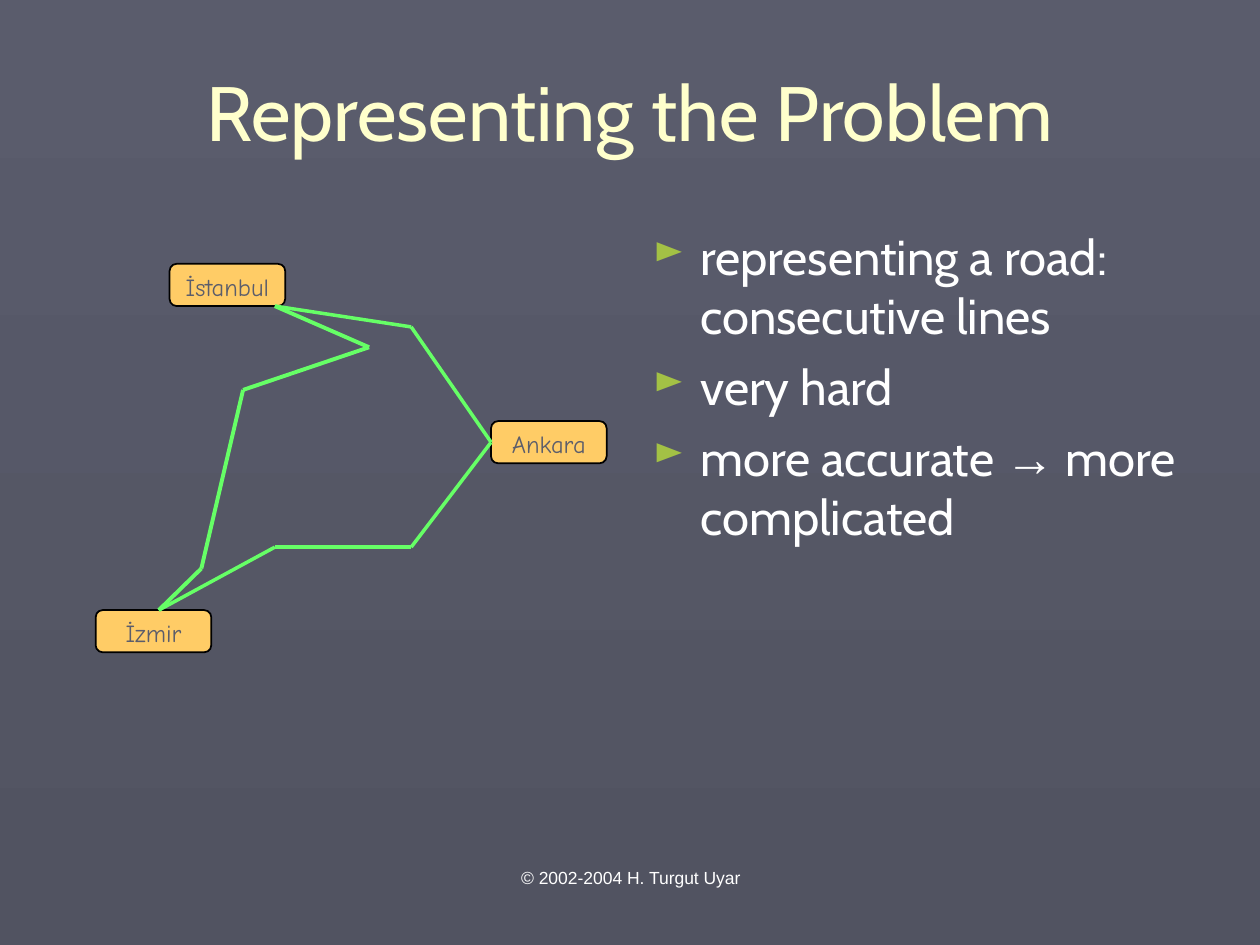
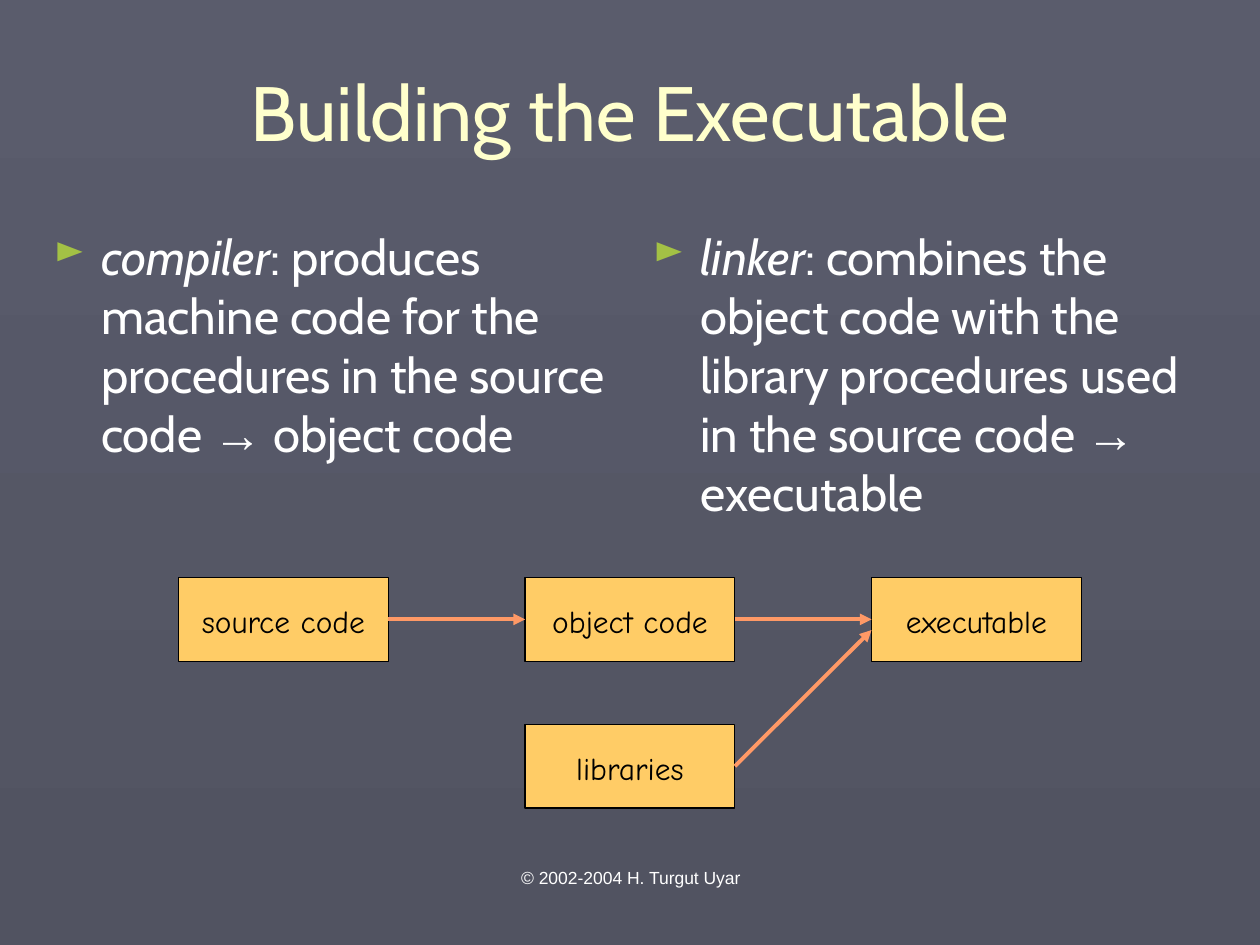
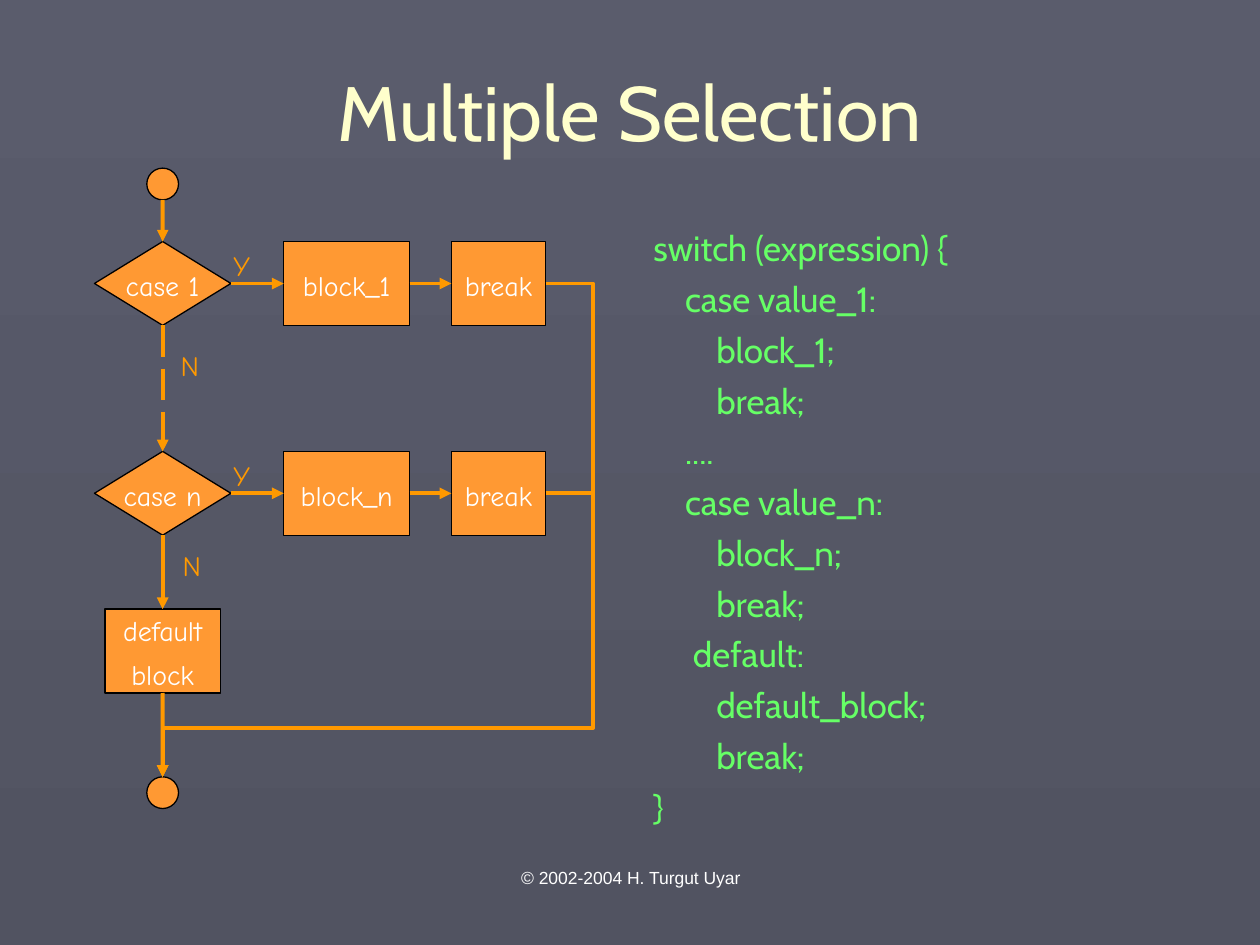
from lxml import etree
from pptx import Presentation
from pptx.dml.color import RGBColor
from pptx.enum.dml import MSO_LINE
from pptx.enum.shapes import MSO_CONNECTOR, MSO_SHAPE
from pptx.enum.text import MSO_ANCHOR, PP_ALIGN
from pptx.oxml.ns import qn
from pptx.util import Cm, Pt

CENTER, LEFT = PP_ALIGN.CENTER, PP_ALIGN.LEFT
MIDDLE, TOP_ANCHOR = MSO_ANCHOR.MIDDLE, MSO_ANCHOR.TOP
RECT, ROUNDED = MSO_SHAPE.RECTANGLE, MSO_SHAPE.ROUNDED_RECTANGLE
DIAMOND, CIRCLE = MSO_SHAPE.DIAMOND, MSO_SHAPE.OVAL
STRAIGHT, ELBOW = MSO_CONNECTOR.STRAIGHT, MSO_CONNECTOR.ELBOW
LONG_DASH = MSO_LINE.LONG_DASH

# Connection sites and where they lie on a shape, as shares of its size
TOP, WEST, BOTTOM, EAST = range(4)
SITE_SHARES = {TOP: (0.5, 0), WEST: (0, 0.5), BOTTOM: (0.5, 1), EAST: (1, 0.5)}

COLORS = {
    "sky": "5A5C6C", "ground": "515361", "title": "FFFFCC", "white": "FFFFFF",
    "black": "000000", "bullet": "A3C145", "slate": "5B5D6B", "amber": "FFCC66",
    "green": "66FF66", "salmon": "FF9966", "orange": "FF9933", "flow": "FF9900",
}

# Text styles: font attributes, colour and paragraph attributes
def text_style(name, size, color, **paragraph):
    return {"font": {"name": name, "size": Pt(size)}, "color": color,
            "paragraph": paragraph}


def label_style(size, color):
    return text_style("Comic Neue", size, color, alignment=CENTER,
                      line_spacing=1.1, space_before=Pt(size / 4))


TITLE = text_style("Cabin", 44, "title", alignment=CENTER)
BODY = text_style("Cabin", 28, "white", alignment=LEFT, space_before=Pt(7))
CODE = text_style("Cabin", 20, "green", alignment=LEFT, space_before=Pt(5))
FOOTER = text_style("Arial", 10, "white", alignment=CENTER)
CITY = label_style(14, "slate")
STAGE = label_style(18, "black")
STEP = label_style(16, "white")
BRANCH = label_style(16, "flow")

ARROW = ("→", {"name": "Arial"})
BODY_TOP, BODY_WIDTH, BODY_HEIGHT = 4.45, 11.65, 12.5
LEFT_COLUMN, RIGHT_COLUMN = 0.84, 12.92


def rgb(color):
    return RGBColor.from_string(COLORS[color])


def apply_format(target, values):
    for attribute, value in values.items():
        setattr(target, attribute, value)


# Text
def write_text(frame, paragraphs, style, **frame_format):
    """Each paragraph is a string or a list of (text, font changes)."""
    apply_format(frame, {"word_wrap": True, **frame_format})
    for index, content in enumerate(paragraphs):
        paragraph = frame.add_paragraph() if index else frame.paragraphs[0]
        apply_format(paragraph, style["paragraph"])
        pieces = [(content, {})] if isinstance(content, str) else content
        for text, changes in pieces:
            run = paragraph.add_run()
            run.text = text
            apply_format(run.font, {**style["font"], **changes})
            run.font.color.rgb = rgb(style["color"])


def add_text(slide, box, paragraphs, style, **frame_format):
    frame = slide.shapes.add_textbox(*map(Cm, box)).text_frame
    write_text(frame, paragraphs, style, **frame_format)
    return frame


def set_indent(paragraph, margin, first_line=0):
    properties = paragraph._p.get_or_add_pPr()
    properties.set("marL", str(Cm(margin)))
    properties.set("indent", str(Cm(first_line)))
    return properties


def add_bullets(slide, left, paragraphs):
    box = (left, BODY_TOP, BODY_WIDTH, BODY_HEIGHT)
    frame = add_text(slide, box, paragraphs, BODY, vertical_anchor=TOP_ANCHOR)
    for paragraph in frame.paragraphs:
        properties = set_indent(paragraph, 0.95, -0.95)
        bullet_color = etree.SubElement(properties, qn("a:buClr"))
        etree.SubElement(bullet_color, qn("a:srgbClr"), val=COLORS["bullet"])
        etree.SubElement(properties, qn("a:buSzPct"), val="80000")
        etree.SubElement(properties, qn("a:buChar"), char="►")


def add_code(slide, left, lines):
    box = (left, BODY_TOP, BODY_WIDTH, BODY_HEIGHT)
    frame = add_text(slide, box, [text for _, text in lines], CODE)
    for paragraph, (indent, _) in zip(frame.paragraphs, lines):
        set_indent(paragraph, indent)


# Shapes and connectors
def add_node(slide, kind, box, fill, style=None, lines=(), border=0.75):
    node = slide.shapes.add_shape(kind, *map(Cm, box))
    node.shadow.inherit = False
    node.fill.solid()
    node.fill.fore_color.rgb = rgb(fill)
    node.line.color.rgb = rgb("black")
    node.line.width = Pt(border)
    if lines:
        write_text(node.text_frame, lines, style, word_wrap=False,
                   vertical_anchor=MIDDLE)
    return node


def locate(end):
    """An end is (x, y) in centimetres or (node, site)."""
    if isinstance(end[0], (int, float)):
        return Cm(end[0]), Cm(end[1])
    node, site = end
    across, down = SITE_SHARES[site]
    return (int(node.left + node.width * across),
            int(node.top + node.height * down))


def add_link(slide, begin, end, color, kind=STRAIGHT, width=2.25, arrow=True, dash=None):
    link = slide.shapes.add_connector(kind, *locate(begin), *locate(end))
    for target, connect in ((begin, link.begin_connect), (end, link.end_connect)):
        if not isinstance(target[0], (int, float)):
            connect(*target)
    link.line.color.rgb = rgb(color)
    link.line.width = Pt(width)
    if dash:
        link.line.dash_style = dash
    if arrow:
        etree.SubElement(link.line._get_or_add_ln(), qn("a:tailEnd"), type="triangle")
    etree.SubElement(link._element.spPr, qn("a:effectLst"))
    return link


def add_return(slide, begin, end, overhang, merge_y):
    """Go right past the node, down to merge_y, back left and down."""
    link = add_link(slide, begin, end, "flow", kind=ELBOW)
    geometry = link._element.spPr.find(qn("a:prstGeom"))
    geometry.set("prst", "bentConnector4")
    guides = geometry.find(qn("a:avLst"))
    shares = (-Cm(overhang) / link.width, (Cm(merge_y) - link.top) / link.height)
    for number, share in enumerate(shares, 1):
        etree.SubElement(guides, qn("a:gd"), name=f"adj{number}",
                         fmla=f"val {round(share * 100000)}")


# Shared slide frame
def paint_background(prs):
    fill = prs.slide_master.background.fill
    fill.gradient()
    fill.gradient_angle = 270
    for stop, color in zip(fill.gradient_stops, ("sky", "ground")):
        stop.color.rgb = rgb(color)


def start_slide(prs, heading):
    slide = prs.slides.add_slide(prs.slide_layouts[5])
    title = slide.shapes.title
    apply_format(title, {"left": Cm(0.84), "top": Cm(0.64),
                         "width": Cm(23.72), "height": Cm(3.18)})
    write_text(title.text_frame, [heading], TITLE, vertical_anchor=MIDDLE)
    add_text(slide, (8.69, 17.35, 8.05, 1.32), ["© 2002-2004 H. Turgut Uyar"], FOOTER)
    return slide


# Slides
def build_road_map(prs):
    slide = start_slide(prs, "Representing the Problem")
    add_bullets(slide, RIGHT_COLUMN, [
        "representing a road: consecutive lines",
        "very hard",
        [("more accurate ", {}), ARROW, (" more complicated", {})],
    ])
    places = {"İstanbul": (3.42, 5.32), "Ankara": (9.9, 8.49), "İzmir": (1.93, 12.3)}
    cities = {name: add_node(slide, ROUNDED, (*corner, 2.33, 0.85), "amber",
                             CITY, [name], border=1)
              for name, corner in places.items()}

    istanbul_exit, izmir_exit = (5.54, 6.17), (3.2, 12.3)
    ankara_exit = (cities["Ankara"], WEST)
    roads = [
        (2, [istanbul_exit, (8.29, 6.59), ankara_exit]),
        (2.25, [istanbul_exit, (7.44, 7), (4.9, 7.86), (4.06, 11.46), izmir_exit]),
        (2, [ankara_exit, (8.29, 11.03), (5.54, 11.03), izmir_exit]),
    ]
    for width, stops in roads:
        for begin, end in zip(stops, stops[1:]):
            add_link(slide, begin, end, "green", width=width, arrow=False)


def build_toolchain(prs):
    slide = start_slide(prs, "Building the Executable")
    definitions = [
        (LEFT_COLUMN, "compiler",
         ": produces machine code for the procedures in the source code ", " object code"),
        (RIGHT_COLUMN, "linker",
         ": combines the object code with the library procedures used in the source code ",
         " executable"),
    ]
    for left, term, meaning, result in definitions:
        add_bullets(slide, left, [[(term, {"italic": True}), (meaning, {}),
                                   ARROW, (result, {})]])

    def add_stage(column, top, name):
        return add_node(slide, RECT, (3.6 + 6.985 * column, top, 4.23, 1.69),
                        "amber", STAGE, [name])

    source, objects, executable = [
        add_stage(column, 11.64, name)
        for column, name in enumerate(("source code", "object code", "executable"))]
    libraries = add_stage(1, 14.6, "libraries")
    links = [(source, (objects, WEST)), (objects, (executable, WEST)),
             (libraries, (17.57, 12.7))]
    for stage, target in links:
        add_link(slide, (stage, EAST), target, "salmon")


def build_switch(prs):
    slide = start_slide(prs, "Multiple Selection")
    case, block, default = 0.64, 1.27, 0.8
    add_code(slide, RIGHT_COLUMN, [
        (0, "switch (expression) {"),
        (case, "case value_1:"), (block, "block_1;"), (block, "break;"),
        (case, "...."),
        (case, "case value_n:"), (block, "block_n;"), (block, "break;"),
        (default, "default:"), (block, "default_block;"), (block, "break;"),
        (0, "}"),
    ])
    axis, step_height, dot = 3.28, 1.69, 0.64

    def add_on_axis(kind, top, width, height, lines=()):
        return add_node(slide, kind, (axis - width / 2, top, width, height),
                        "orange", STEP, lines)

    def add_branch_label(left, top, letter):
        add_text(slide, (left, top, 0.85, 1.02), [letter], BRANCH,
                 word_wrap=False, vertical_anchor=MIDDLE)

    # Vertical axis: start, two cases, default, end
    start_top = 3.39
    add_on_axis(CIRCLE, start_top, dot, dot)
    finish = add_on_axis(CIRCLE, 15.66, dot, dot)
    default_step = add_on_axis(RECT, 12.28, 2.33, step_height, ["default", "block"])

    # One row per case
    tests, breaks = [], []
    for top, number in ((4.87, "1"), (9.1, "n")):
        test = add_on_axis(DIAMOND, top, 2.75, step_height, [f"case {number}"])
        action, leave = [
            add_node(slide, RECT, (left, top, width, step_height), "orange", STEP, [name])
            for left, width, name in ((5.72, 2.54, f"block_{number}"), (9.1, 1.9, "break"))]
        add_link(slide, (test, EAST), (action, WEST), "flow")
        add_link(slide, (action, EAST), (leave, WEST), "flow")
        add_branch_label(4.45, top - 0.07, "Y")
        tests.append(test)
        breaks.append(leave)

    # Flow down the axis and back from each break
    first, last = tests
    add_link(slide, (axis, start_top + dot), (first, TOP), "flow")
    add_link(slide, (first, BOTTOM), (last, TOP), "flow", dash=LONG_DASH)
    add_link(slide, (last, BOTTOM), (default_step, TOP), "flow")
    add_link(slide, (default_step, BOTTOM), (finish, TOP), "flow")
    for left, top in ((3.39, 6.83), (3.43, 10.85)):
        add_branch_label(left, top, "N")
    for leave in breaks:
        add_return(slide, (leave, EAST), (finish, TOP), overhang=0.96, merge_y=14.67)


def main():
    prs = Presentation()
    prs.slide_width, prs.slide_height = Cm(25.4), Cm(19.05)
    paint_background(prs)
    build_road_map(prs)
    build_toolchain(prs)
    build_switch(prs)
    prs.save("out.pptx")


if __name__ == "__main__":
    main()
